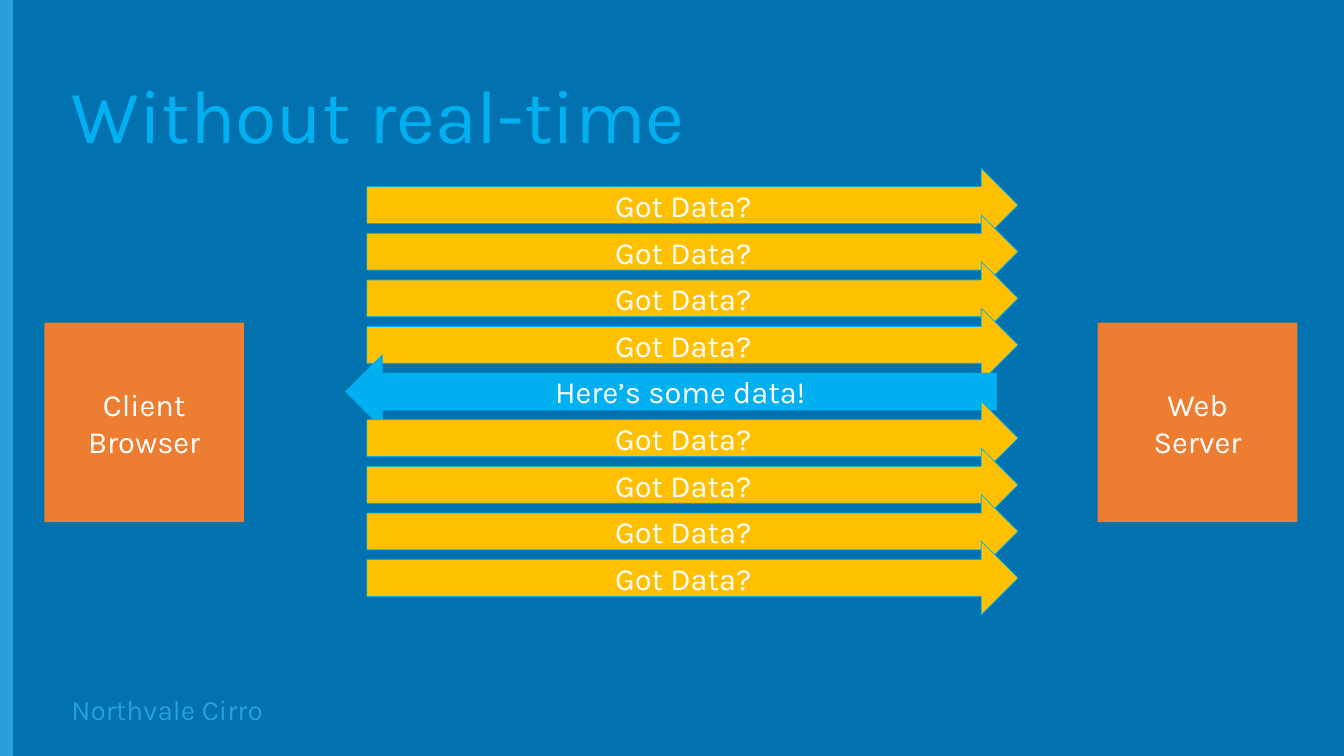
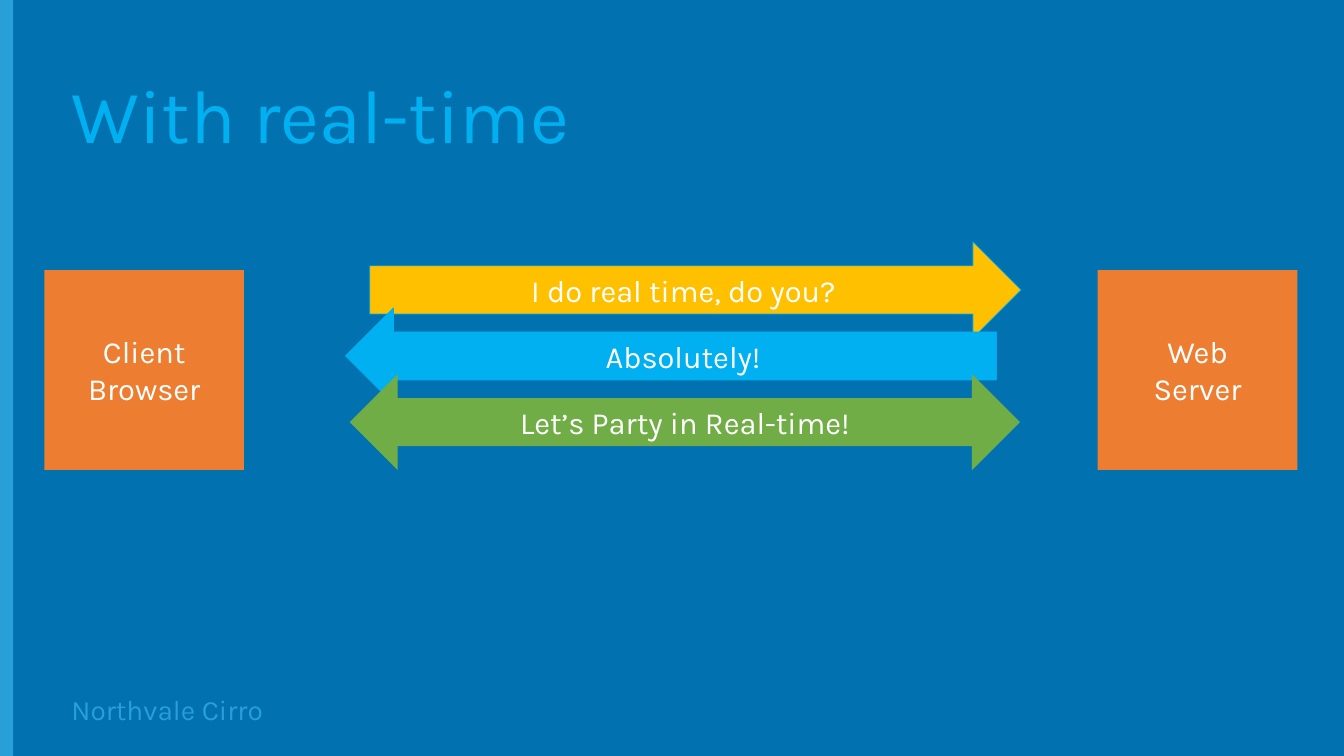
from dataclasses import dataclass
from pptx import Presentation
from pptx.dml.color import RGBColor as Rgb
from pptx.enum.shapes import MSO_SHAPE as Kind
from pptx.enum.text import MSO_ANCHOR as Anchor, MSO_AUTO_SIZE as Fit, PP_ALIGN as Align
from pptx.util import Pt

BRAND = "Northvale Cirro"
ENDS = [("Client Browser", 31.7), ("Web\vServer", 784.1)]
ASK = ("Got Data?", "right")
SLIDES = [
    {"title": "Without real-time", "box": 230.4, "top": 120.2, "step": 33.3,
     "tall": 52.6, "left": 262.1,
     "calls": [ASK] * 4 + [("Here’s some data!", "back")] + [ASK] * 4},
    {"title": "With real-time", "box": 193, "top": 172.8, "step": 47.2,
     "tall": 68.6, "left": 264.2,
     "calls": [("I do real time, do you?", "right"), ("Absolutely!", "back"),
               ("Let’s Party in Real-time!", "both")]},
]


@dataclass(frozen=True)
class Theme:
    """Colours, font and type sizes of the deck."""
    back: str = "0171B0"
    band: str = "289FD7"
    sky: str = "00B0F0"
    box: str = "ED7D31"
    gold: str = "FFC000"
    green: str = "70AD47"
    white: str = "FFFFFF"
    font: str = "Karla"
    head: int = 54
    body: int = 22
    foot: int = 20


LOOK = Theme()
WIDE, HIGH = 960, 540
SIDE = 142.6
# direction: preset, left (None = set by slide), width, fill, outline
ARROWS = {
    "right": (Kind.RIGHT_ARROW, None, 465.1, LOOK.gold, LOOK.sky),
    "back": (Kind.LEFT_ARROW, 246.8, 465.1, LOOK.sky, LOOK.sky),
    "both": (Kind.LEFT_RIGHT_ARROW, 249.8, 478.8, LOOK.green, None),
}


def apply(item, **values):
    """Set each named attribute of an item."""
    for name, value in values.items():
        setattr(item, name, value)


def place(shape, left, top, width, height):
    """Move and size a shape, in points."""
    apply(shape, left=Pt(left), top=Pt(top), width=Pt(width), height=Pt(height))


def write(shape, text, size, color, align=Align.LEFT, space=1.0):
    """Fill a shape with one styled paragraph."""
    frame = shape.text_frame
    frame.text = text
    apply(frame, word_wrap=True, auto_size=Fit.NONE, vertical_anchor=Anchor.MIDDLE)
    para = frame.paragraphs[0]
    apply(para, alignment=align, line_spacing=space)
    for run in para.runs:
        apply(run.font, name=LOOK.font, size=Pt(size))
        run.font.color.rgb = Rgb.from_string(color)


def draw(slide, kind, spot, fill, line=None, text=None):
    """Add a flat shape with an optional outline and label."""
    shape = slide.shapes.add_shape(kind, *map(Pt, spot))
    shape.shadow.inherit = False
    shape.fill.solid()
    shape.fill.fore_color.rgb = Rgb.from_string(fill)
    if line:
        shape.line.color.rgb = Rgb.from_string(line)
        shape.line.width = Pt(0.5)
    else:
        shape.line.fill.background()
    if text:
        write(shape, text, LOOK.body, LOOK.white, Align.CENTER)
    return shape


def dress(layout, slide):
    """Give the layout its background, side band and footer."""
    for spare in list(layout.placeholders)[1:]:
        layout.shapes.element.remove(spare.element)
    fill = layout.background.fill
    fill.solid()
    fill.fore_color.rgb = Rgb.from_string(LOOK.back)
    place(layout.placeholders[0], 43.9, 33.1, 872.6, 104.4)
    band = draw(slide, Kind.RECTANGLE, (0, 0, 9.4, HIGH), LOOK.band)
    foot = slide.shapes.add_textbox(*map(Pt, (43.9, 492.5, 216, 28.8)))
    write(foot, BRAND, LOOK.foot, LOOK.band)
    for part in (foot, band):
        layout.shapes.element.append(part.element)


def fill_in(slide, data):
    """Add the title, both end boxes and the stack of arrows."""
    title = slide.shapes.title
    place(title, 43.9, 33.1, 872.6, 104.4)
    write(title, data["title"], LOOK.head, LOOK.sky, space=0.9)
    for name, left in ENDS:
        draw(slide, Kind.RECTANGLE, (left, data["box"], SIDE, SIDE), LOOK.box, text=name)
    for row, (text, way) in enumerate(data["calls"]):
        kind, left, width, fill, line = ARROWS[way]
        top = data["top"] + row * data["step"]
        spot = (left or data["left"], top, width, data["tall"])
        draw(slide, kind, spot, fill, line, text)


def main():
    """Build and save the deck."""
    deck = Presentation()
    apply(deck, slide_width=Pt(WIDE), slide_height=Pt(HIGH))
    layout = deck.slide_layouts.get_by_name("Title Only")
    slides = [deck.slides.add_slide(layout) for _ in SLIDES]
    dress(layout, slides[0])
    for slide, data in zip(slides, SLIDES):
        fill_in(slide, data)
    deck.save("out.pptx")


main()
